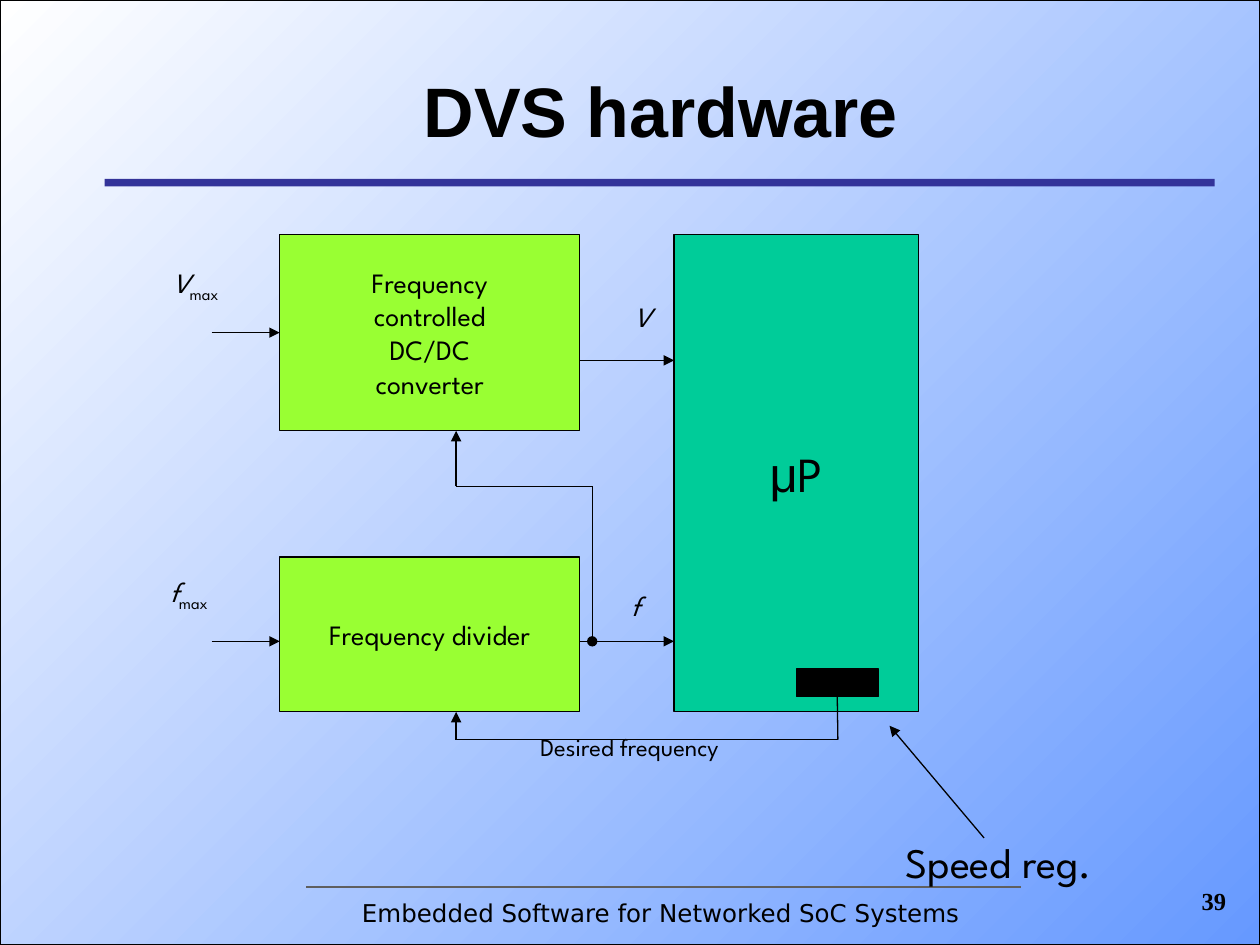
from typing import NamedTuple, Optional

from lxml.etree import SubElement
from pptx import Presentation
from pptx.dml.color import RGBColor
from pptx.enum.shapes import MSO_CONNECTOR, MSO_SHAPE
from pptx.enum.text import MSO_ANCHOR, MSO_AUTO_SIZE, PP_ALIGN
from pptx.oxml.ns import qn
from pptx.util import Inches, Pt

BLACK = RGBColor(0x00, 0x00, 0x00)
WHITE = RGBColor(0xFF, 0xFF, 0xFF)
SKY = RGBColor(0x66, 0x99, 0xFF)
NAVY = RGBColor(0x33, 0x33, 0x99)
GREY = RGBColor(0x5F, 0x5F, 0x5F)
TEAL = RGBColor(0x00, 0xCC, 0x99)
LIME = RGBColor(0x99, 0xFF, 0x33)
FONT = "League Spartan"


class Box(NamedTuple):
    left: float
    top: float
    width: float
    height: float
    fill: Optional[RGBColor]
    lines: tuple = ()
    size: int = 16
    line: Optional[RGBColor] = BLACK


class Label(NamedTuple):
    left: float
    top: float
    width: float
    height: float
    text: str
    size: int = 16
    symbol: bool = False
    sub: str = ""


class Wire(NamedTuple):
    start: tuple
    end: tuple
    head: str = ""
    tail: str = ""
    color: RGBColor = BLACK
    width: float = 0.75


class Caption(NamedTuple):
    left: float
    top: float
    width: float
    height: float
    text: str
    size: int
    font: str
    bold: bool = False
    align: PP_ALIGN = PP_ALIGN.CENTER
    anchor: MSO_ANCHOR = MSO_ANCHOR.TOP


BACKDROP = Box(0, 0, 10, 7.5, None)
TITLE_RULE = Box(0.83, 1.42, 8.81, 0.06, NAVY, line=None)
PROCESSOR = Box(5.35, 1.86, 1.94, 3.79, TEAL, ("μP",), 28)
CONVERTER = Box(2.22, 1.86, 2.38, 1.56, LIME,
                ("Frequency", "controlled", "DC/DC", "converter"))
DIVIDER = Box(2.22, 4.42, 2.38, 1.23, LIME, ("Frequency divider",))
SPEED_REGISTER = Box(6.32, 5.31, 0.65, 0.22, BLACK)

FOOTER_RULE = Wire((2.43, 7.04), (8.1, 7.04), color=GREY, width=1.5)
V_MAX_IN = Wire((1.68, 2.64), (2.22, 2.64), tail="triangle")
REGISTER_OUT = Wire((6.65, 5.53), (6.65, 5.87))
WIRES = [
    Wire((4.6, 5.09), (5.35, 5.09), tail="triangle"),
    Wire((4.6, 2.86), (5.35, 2.86), tail="triangle"),
    Wire((1.68, 5.09), (2.22, 5.09), tail="triangle"),
    Wire((6.65, 5.87), (3.62, 5.87)),
    Wire((3.62, 5.87), (3.62, 5.65), tail="triangle"),
    Wire((4.7, 5.09), (4.7, 3.86), head="oval"),
    Wire((4.7, 3.86), (3.62, 3.86)),
    Wire((3.62, 3.86), (3.62, 3.42), tail="triangle"),
    Wire((7.81, 6.65), (7.06, 5.76), tail="triangle"),
]
LABELS = [
    Label(4.91, 4.62, 0.27, 0.37, "f", symbol=True),
    Label(4.93, 2.33, 0.32, 0.37, "V", symbol=True),
    Label(1.27, 2.06, 0.58, 0.41, "V", symbol=True, sub="max"),
    Label(1.25, 4.51, 0.52, 0.41, "f", symbol=True, sub="max"),
    Label(4.19, 5.76, 1.88, 0.34, "Desired frequency", 14),
    Label(7.09, 6.59, 1.87, 0.5, "Speed reg.", 24),
]
CAPTIONS = [
    Caption(0.83, 0.33, 8.83, 1.08, "DVS hardware", 40, "Arial", True,
            anchor=MSO_ANCHOR.MIDDLE),
    Caption(0.83, 7.08, 8.83, 0.35,
            "Embedded Software for Networked SoC Systems", 14, "DejaVu Sans"),
    Caption(8.75, 6.98, 1.08, 0.5, "39", 14, "Times New Roman", True,
            PP_ALIGN.RIGHT),
]


def set_font(font, size: int, name: str = FONT, bold: bool = False) -> None:
    font.size, font.name, font.bold = Pt(size), name, bold
    font.color.rgb = BLACK


def add_box(slide, box: Box):
    sp = slide.shapes.add_shape(MSO_SHAPE.RECTANGLE, *map(Inches, box[:4]))
    sp.shadow.inherit = False
    if box.fill is not None:
        sp.fill.solid()
        sp.fill.fore_color.rgb = box.fill
    if box.line is None:
        sp.line.fill.background()
    else:
        sp.line.color.rgb = box.line
        sp.line.width = Pt(0.75)
    tf = sp.text_frame
    tf.word_wrap = False
    tf.vertical_anchor = MSO_ANCHOR.MIDDLE
    for i, line in enumerate(box.lines):
        p = tf.add_paragraph() if i else tf.paragraphs[0]
        p.alignment = PP_ALIGN.CENTER
        set_font(p.font, box.size)
        for part in line.partition("μ"):
            if part:
                r = p.add_run()
                r.text = part
                if part == "μ":
                    r.font.name = "Arial"
    return sp


def add_wire(slide, wire: Wire):
    cxn = slide.shapes.add_connector(
        MSO_CONNECTOR.STRAIGHT, *map(Inches, wire.start + wire.end))
    cxn.line.color.rgb = wire.color
    cxn.line.width = Pt(wire.width)
    ln = cxn.line._get_or_add_ln()
    for tag, kind in (("a:headEnd", wire.head), ("a:tailEnd", wire.tail)):
        if kind:
            SubElement(ln, qn(tag), type=kind)
    SubElement(cxn._element.spPr, qn("a:effectLst"))
    return cxn


def add_label(slide, label: Label) -> None:
    tf = slide.shapes.add_textbox(*map(Inches, label[:4])).text_frame
    tf.word_wrap = False
    tf.auto_size = MSO_AUTO_SIZE.SHAPE_TO_FIT_TEXT
    p = tf.paragraphs[0]
    set_font(p.font, label.size)
    r = p.add_run()
    r.text = label.text
    if label.symbol:
        r.font.italic = True
    if label.sub:
        r = p.add_run()
        r.text = label.sub
        r._r.get_or_add_rPr().set("baseline", "-25000")


def add_caption(slide, caption: Caption) -> None:
    tf = slide.shapes.add_textbox(*map(Inches, caption[:4])).text_frame
    tf.word_wrap = True
    tf.vertical_anchor = caption.anchor
    p = tf.paragraphs[0]
    p.text = caption.text
    p.alignment = caption.align
    set_font(p.font, caption.size, caption.font, caption.bold)


def main() -> None:
    prs = Presentation()
    prs.slide_width, prs.slide_height = Inches(10), Inches(7.5)
    slide = prs.slides.add_slide(prs.slide_layouts[6])

    fill = add_box(slide, BACKDROP).fill
    fill.gradient()
    fill.gradient_angle = 135
    for stop, color, position in zip(fill.gradient_stops, (SKY, WHITE), (0, 1)):
        stop.color.rgb = color
        stop.position = position

    add_box(slide, TITLE_RULE)
    add_wire(slide, FOOTER_RULE)
    add_box(slide, PROCESSOR)
    converter = add_box(slide, CONVERTER)
    add_box(slide, DIVIDER)
    register = add_box(slide, SPEED_REGISTER)
    add_wire(slide, V_MAX_IN).end_connect(converter, 1)
    add_wire(slide, REGISTER_OUT).begin_connect(register, 2)
    for wire in WIRES:
        add_wire(slide, wire)
    for label in LABELS:
        add_label(slide, label)
    for caption in CAPTIONS:
        add_caption(slide, caption)
    prs.save("out.pptx")


if __name__ == "__main__":
    main()
